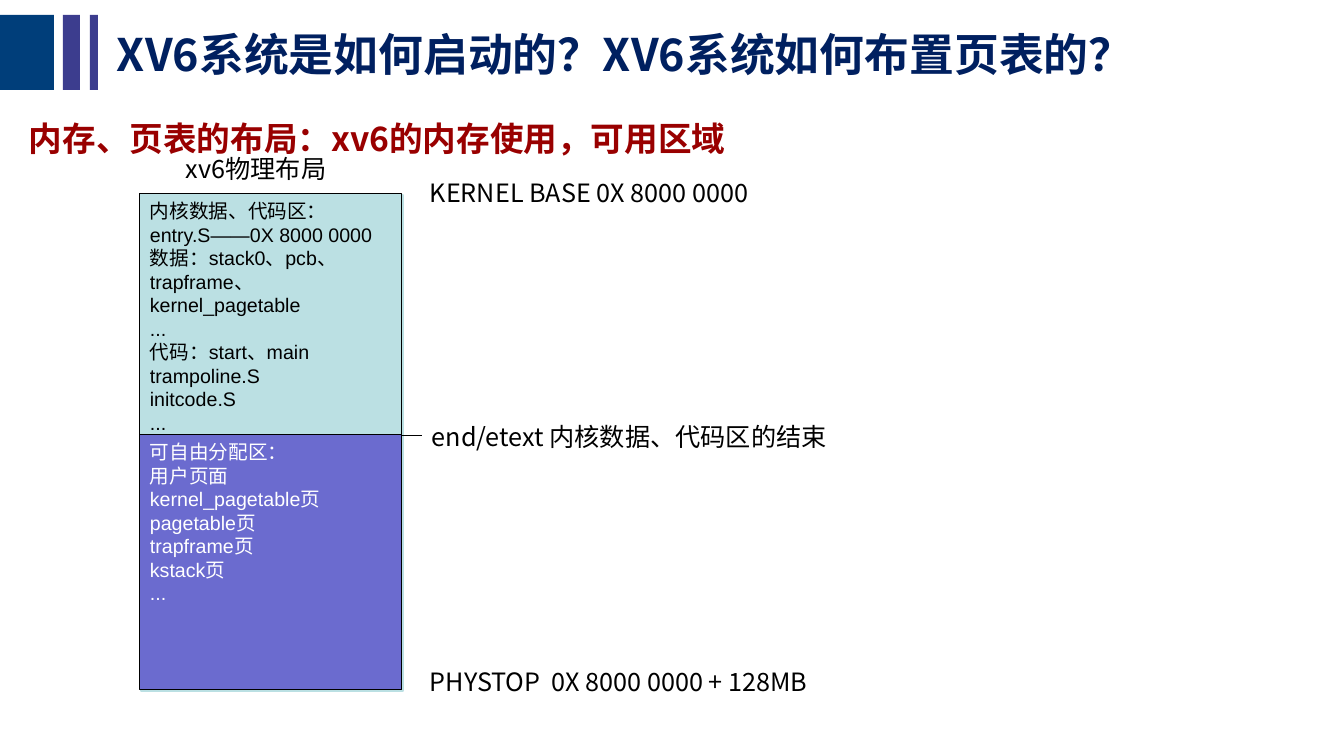
from lxml.etree import SubElement
from pptx import Presentation
from pptx.dml.color import RGBColor
from pptx.enum.shapes import MSO_CONNECTOR, MSO_SHAPE
from pptx.enum.text import MSO_ANCHOR, PP_ALIGN
from pptx.oxml.ns import qn
from pptx.util import Pt

PX = 914400 / 100.8
SANS = "Noto Sans CJK SC"
BLACK = "000000"

BARS = [(0, 54, "003E7A"), (63, 17, "3C3D8E"), (90, 8, "3C3D8E")]
TITLE = "XV6系统是如何启动的？XV6系统如何布置页表的？"
SUBTITLE = "内存、页表的布局：xv6的内存使用，可用区域"
LABELS = [
    ("xv6物理布局", 176, 148, 191),
    ("KERNEL BASE 0X 8000 0000", 420, 172, 397),
    ("PHYSTOP  0X 8000 0000 + 128MB", 420, 661, 451),
]
END_LABEL = ("end/etext 内核数据、代码区的结束", 422, 416, 449)
LABEL_HEIGHT = 40
KERNEL_LINES = [
    "内核数据、代码区：",
    "entry.S——0X 8000 0000",
    "数据：stack0、pcb、trapframe、kernel_pagetable",
    "...",
    "代码：start、main",
    "trampoline.S",
    "initcode.S",
    "...",
]
FREE_LINES = [
    "可自由分配区：",
    "用户页面",
    "kernel_pagetable页",
    "pagetable页",
    "trapframe页",
    "kstack页",
    "...",
]
MEMORY_LEFT, MEMORY_TOP, MEMORY_WIDTH = 140, 194, 262
KERNEL_HEIGHT, FREE_HEIGHT = 242, 255


def emu(*lengths):
    return [round(length * PX) for length in lengths]


def color(value):
    return RGBColor.from_string(value)


def write(shape, lines, size, ink, font=SANS, bold=False, anchor=MSO_ANCHOR.TOP, spacing=None):
    frame = shape.text_frame
    frame.word_wrap = True
    frame.vertical_anchor = anchor
    for index, line in enumerate(lines):
        para = frame.add_paragraph() if index else frame.paragraphs[0]
        para.alignment = PP_ALIGN.LEFT
        para.line_spacing = spacing
        span = para.add_run()
        span.text = line
        span.font.size = Pt(size)
        span.font.bold = bold
        span.font.name = font
        span.font.color.rgb = color(ink)
        SubElement(span.font._element, qn("a:ea")).set("typeface", SANS)


def add_text(page, text, left, top, width, height, **style):
    box = page.shapes.add_textbox(*emu(left, top, width, height))
    write(box, [text], **style)
    return box


def add_box(page, left, top, width, height, fill=None, line=None, weight=0.75):
    box = page.shapes.add_shape(MSO_SHAPE.RECTANGLE, *emu(left, top, width, height))
    box.shadow.inherit = False
    if fill:
        box.fill.solid()
        box.fill.fore_color.rgb = color(fill)
    else:
        box.fill.background()
    if line:
        box.line.color.rgb = color(line)
        box.line.width = Pt(weight)
    else:
        box.line.fill.background()
    return box


def main():
    deck = Presentation()
    deck.slide_width, deck.slide_height = emu(1344, 756)
    page = deck.slides.add_slide(deck.slide_layouts[6])

    for left, width, fill in BARS:
        add_box(page, left, 15, width, 75, fill)
    add_text(page, SUBTITLE, 19, 93, 1263, 70, size=24, ink="990000", bold=True, spacing=1.5)
    add_text(page, TITLE, 107, 16, 1092, 76, size=32, ink="002060", bold=True,
             anchor=MSO_ANCHOR.MIDDLE)

    add_box(page, MEMORY_LEFT + 1, MEMORY_TOP + 1, MEMORY_WIDTH,
            KERNEL_HEIGHT + FREE_HEIGHT - 1, line="BBE0E3", weight=1)
    for text, left, top, width in LABELS:
        add_text(page, text, left, top, width, LABEL_HEIGHT, size=18, ink=BLACK)

    kernel = add_box(page, MEMORY_LEFT, MEMORY_TOP, MEMORY_WIDTH, KERNEL_HEIGHT, "BBE0E3", BLACK)
    write(kernel, KERNEL_LINES, 14, BLACK, font="Arial")
    text, left, top, width = END_LABEL
    end_label = add_text(page, text, left, top, width, LABEL_HEIGHT, size=18, ink=BLACK)

    pointer = page.shapes.add_connector(MSO_CONNECTOR.STRAIGHT, 0, 0, 0, 0)
    pointer.begin_connect(kernel, 2)
    pointer.end_connect(end_label, 1)
    pointer.line.color.rgb = color(BLACK)
    pointer.line.width = Pt(0.75)
    SubElement(pointer._element.spPr, qn("a:effectLst"))

    free = add_box(page, MEMORY_LEFT, MEMORY_TOP + KERNEL_HEIGHT - 1, MEMORY_WIDTH, FREE_HEIGHT,
                   "6B6BCF", BLACK)
    write(free, FREE_LINES, 14, "FFFFFF", font="Arial")

    deck.save("out.pptx")


if __name__ == "__main__":
    main()
